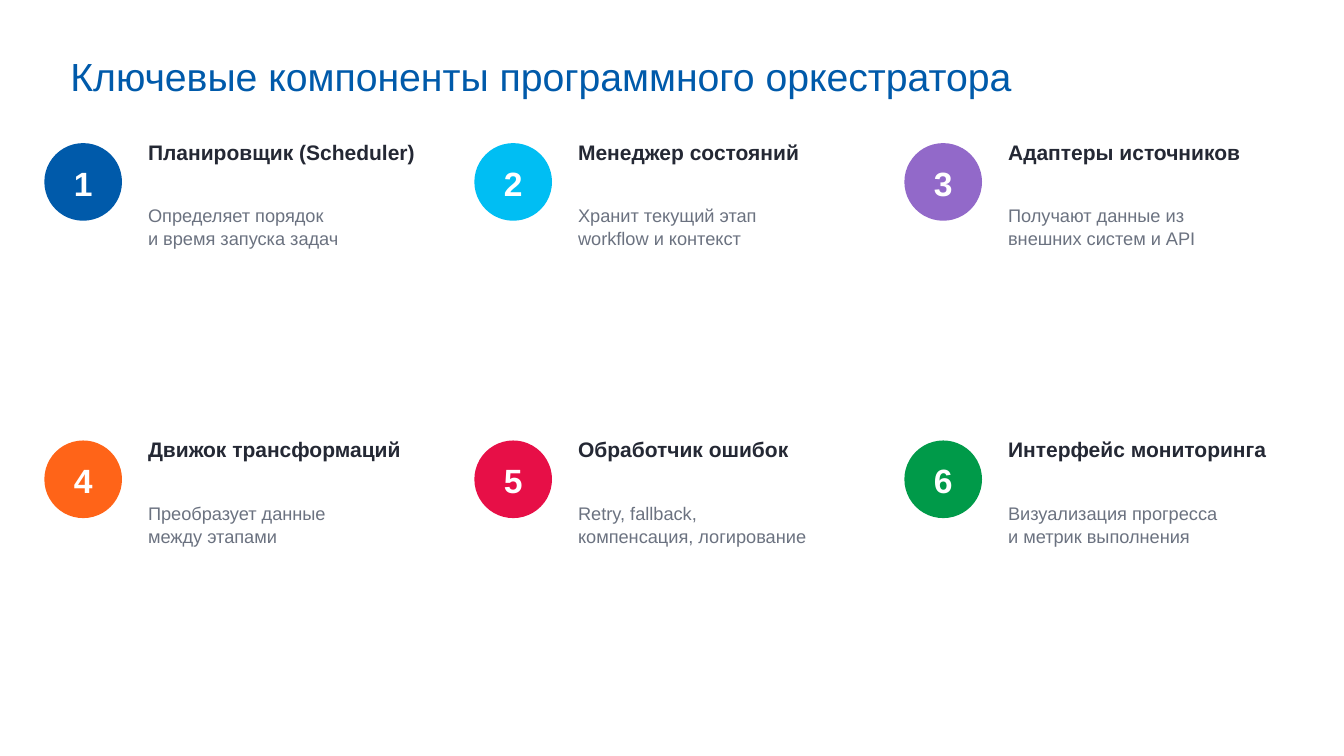
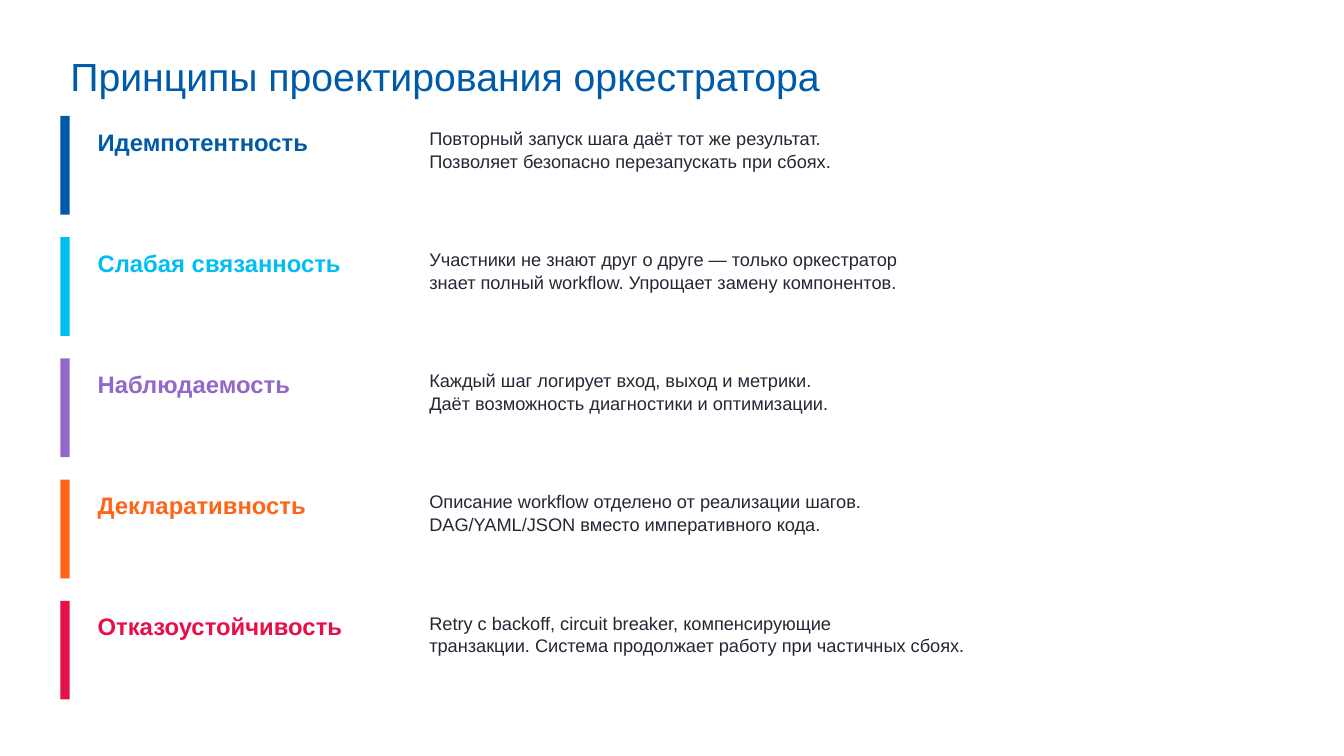
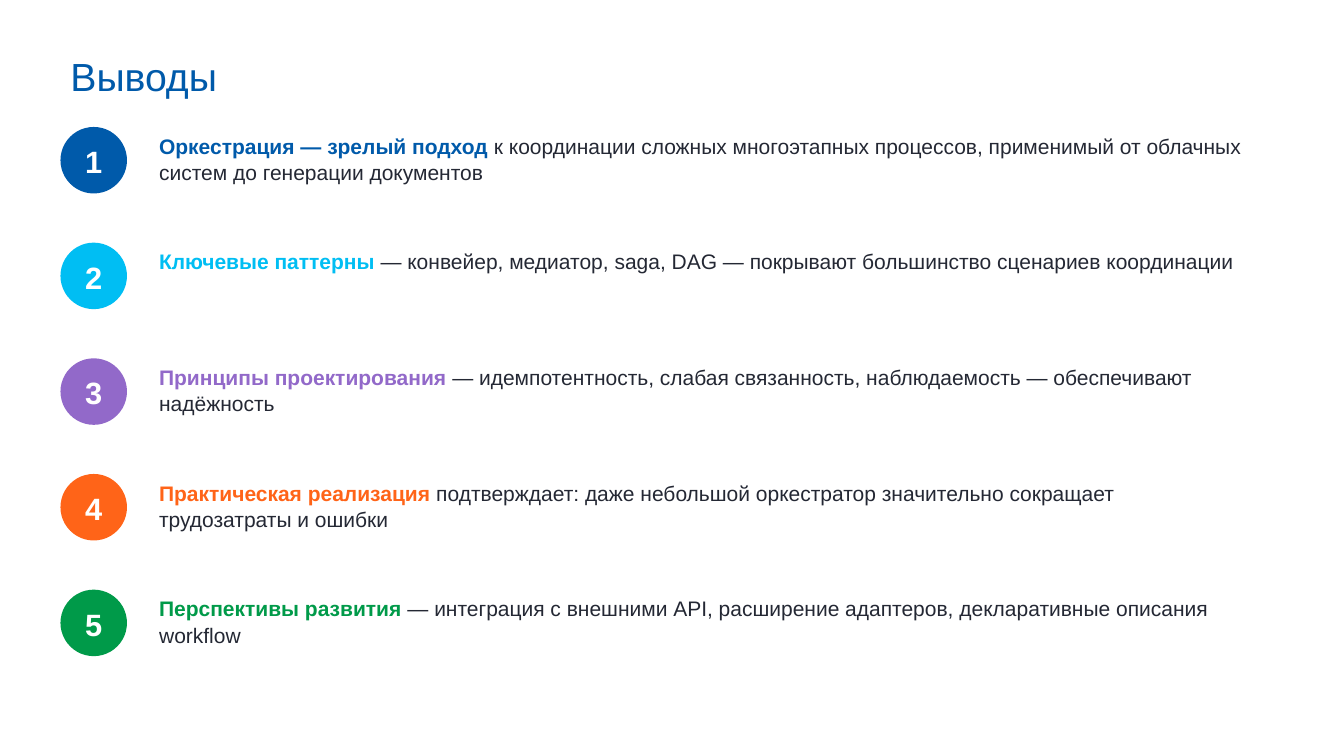
"""Build three slides on the components, principles and conclusions of an orchestrator."""

from dataclasses import dataclass

from pptx import Presentation
from pptx.dml.color import RGBColor
from pptx.enum.shapes import MSO_SHAPE
from pptx.enum.text import MSO_ANCHOR, MSO_AUTO_SIZE, PP_ALIGN
from pptx.presentation import Presentation as Deck
from pptx.shapes.autoshape import Shape
from pptx.slide import Slide
from pptx.text.text import Font
from pptx.util import Inches, Pt

BLUE = RGBColor(0x00, 0x5A, 0xAA)
CYAN = RGBColor(0x00, 0xBE, 0xF3)
PURPLE = RGBColor(0x92, 0x69, 0xC9)
ORANGE = RGBColor(0xFF, 0x64, 0x18)
RED = RGBColor(0xE7, 0x0F, 0x47)
GREEN = RGBColor(0x00, 0x9A, 0x49)
INK = RGBColor(0x24, 0x28, 0x34)
GRAY = RGBColor(0x6B, 0x72, 0x80)
WHITE = RGBColor(0xFF, 0xFF, 0xFF)

FONT_NAME = "Arial"
LINE_SPACING = 1.05
SLIDE_WIDTH, SLIDE_HEIGHT = 13.33, 7.5
MARGIN = 0.6


@dataclass(frozen=True)
class Box:
    left: float
    top: float
    width: float
    height: float


@dataclass(frozen=True)
class Style:
    size: float
    color: RGBColor
    bold: bool = False


@dataclass(frozen=True)
class Item:
    color: RGBColor
    heading: str
    body: str


TITLE_STYLE = Style(28, BLUE)
TITLE_BOX = Box(MARGIN, 0.45, 10.51, 0.44)

COMPONENTS = [
    Item(BLUE, "Планировщик (Scheduler)", "Определяет порядок\nи время запуска задач"),
    Item(CYAN, "Менеджер состояний", "Хранит текущий этап\nworkflow и контекст"),
    Item(PURPLE, "Адаптеры источников", "Получают данные из\nвнешних систем и API"),
    Item(ORANGE, "Движок трансформаций", "Преобразует данные\nмежду этапами"),
    Item(RED, "Обработчик ошибок", "Retry, fallback,\nкомпенсация, логирование"),
    Item(GREEN, "Интерфейс мониторинга", "Визуализация прогресса\nи метрик выполнения"),
]

PRINCIPLES = [
    Item(BLUE, "Идемпотентность",
         "Повторный запуск шага даёт тот же результат.\n"
         "Позволяет безопасно перезапускать при сбоях."),
    Item(CYAN, "Слабая связанность",
         "Участники не знают друг о друге — только оркестратор\n"
         "знает полный workflow. Упрощает замену компонентов."),
    Item(PURPLE, "Наблюдаемость",
         "Каждый шаг логирует вход, выход и метрики.\n"
         "Даёт возможность диагностики и оптимизации."),
    Item(ORANGE, "Декларативность",
         "Описание workflow отделено от реализации шагов.\n"
         "DAG/YAML/JSON вместо императивного кода."),
    Item(RED, "Отказоустойчивость",
         "Retry с backoff, circuit breaker, компенсирующие\n"
         "транзакции. Система продолжает работу при частичных сбоях."),
]

CONCLUSIONS = [
    Item(BLUE, "Оркестрация — зрелый подход",
         " к координации сложных многоэтапных процессов, применимый от облачных систем "
         "до генерации документов"),
    Item(CYAN, "Ключевые паттерны",
         " — конвейер, медиатор, saga, DAG — покрывают большинство сценариев координации"),
    Item(PURPLE, "Принципы проектирования",
         " — идемпотентность, слабая связанность, наблюдаемость — обеспечивают надёжность"),
    Item(ORANGE, "Практическая реализация",
         " подтверждает: даже небольшой оркестратор значительно сокращает трудозатраты и ошибки"),
    Item(GREEN, "Перспективы развития",
         " — интеграция с внешними API, расширение адаптеров, декларативные описания workflow"),
]


def spread(first: float, last: float, count: int) -> list[float]:
    """Return evenly spaced positions from first to last."""
    return [first + (last - first) * index / (count - 1) for index in range(count)]


def emu(box: Box) -> tuple[int, int, int, int]:
    """Return the left, top, width and height of a box as slide lengths."""
    return Inches(box.left), Inches(box.top), Inches(box.width), Inches(box.height)


def apply_style(font: Font, style: Style) -> None:
    """Give a font the shared typeface and the given style."""
    font.name = FONT_NAME
    font.size = Pt(style.size)
    font.bold = style.bold
    font.color.rgb = style.color


def add_text_box(slide: Slide, box: Box) -> Shape:
    """Add an empty wrapping text box that grows with its text."""
    shape = slide.shapes.add_textbox(*emu(box))
    shape.text_frame.word_wrap = True
    shape.text_frame.auto_size = MSO_AUTO_SIZE.SHAPE_TO_FIT_TEXT
    shape.text_frame.paragraphs[0].line_spacing = LINE_SPACING
    return shape


def add_text(slide: Slide, box: Box, text: str, style: Style) -> None:
    """Add a text box holding one paragraph in one style."""
    paragraph = add_text_box(slide, box).text_frame.paragraphs[0]
    paragraph.text = text
    apply_style(paragraph.font, style)


def add_rich_text(slide: Slide, box: Box, parts: list[tuple[str, Style]]) -> None:
    """Add a text box holding one paragraph of differently styled runs."""
    paragraph = add_text_box(slide, box).text_frame.paragraphs[0]
    for text, style in parts:
        run = paragraph.add_run()
        run.text = text
        apply_style(run.font, style)


def add_filled_shape(slide: Slide, kind: MSO_SHAPE, box: Box, color: RGBColor) -> Shape:
    """Add a flat shape without outline or shadow."""
    shape = slide.shapes.add_shape(kind, *emu(box))
    shape.shadow.inherit = False
    shape.fill.solid()
    shape.fill.fore_color.rgb = color
    shape.line.fill.background()
    return shape


def add_badge(slide: Slide, left: float, top: float, diameter: float,
              number: int, color: RGBColor, size: float) -> None:
    """Add a numbered circle."""
    box = Box(left, top, diameter, diameter)
    frame = add_filled_shape(slide, MSO_SHAPE.OVAL, box, color).text_frame
    frame.vertical_anchor = MSO_ANCHOR.MIDDLE
    paragraph = frame.paragraphs[0]
    paragraph.text = str(number)
    paragraph.alignment = PP_ALIGN.CENTER
    paragraph.line_spacing = LINE_SPACING
    apply_style(paragraph.font, Style(size, WHITE, True))


def add_titled_slide(presentation: Deck, title: str) -> Slide:
    """Add a blank slide with the shared title."""
    slide = presentation.slides.add_slide(presentation.slide_layouts[6])
    add_text(slide, TITLE_BOX, title, TITLE_STYLE)
    return slide


def add_components_slide(presentation: Deck) -> None:
    """Add the grid of numbered components."""
    slide = add_titled_slide(presentation, "Ключевые компоненты программного оркестратора")
    cells = [(left, top) for top in spread(1.42, 4.37, 2) for left in spread(0.44, 8.97, 3)]
    for number, (item, (left, top)) in enumerate(zip(COMPONENTS, cells), 1):
        text_left = left + 0.93
        add_badge(slide, left, top, 0.77, number, item.color, 24)
        add_text(slide, Box(text_left, top - 0.1, 2.95, 0.66), item.heading, Style(15, INK, True))
        add_text(slide, Box(text_left, top + 0.55, 2.95, 1.53), item.body, Style(13, GRAY))


def add_principles_slide(presentation: Deck) -> None:
    """Add the rows of principles marked by coloured bars."""
    slide = add_titled_slide(presentation, "Принципы проектирования оркестратора")
    for item, top in zip(PRINCIPLES, spread(1.15, 5.96, len(PRINCIPLES))):
        text_top = top + 0.05
        add_filled_shape(slide, MSO_SHAPE.RECTANGLE, Box(MARGIN, top, 0.09, 0.98), item.color)
        add_text(slide, Box(0.87, text_top, 3.06, 0.44), item.heading, Style(17, item.color, True))
        add_text(slide, Box(4.16, text_top, 8.2, 0.93), item.body, Style(13, INK))


def add_conclusions_slide(presentation: Deck) -> None:
    """Add the numbered list of conclusions."""
    slide = add_titled_slide(presentation, "Выводы")
    tops = spread(1.26, 5.85, len(CONCLUSIONS))
    for number, (item, top) in enumerate(zip(CONCLUSIONS, tops), 1):
        add_badge(slide, MARGIN, top, 0.66, number, item.color, 22)
        parts = [(item.heading, Style(15, item.color, True)), (item.body, Style(15, INK))]
        add_rich_text(slide, Box(1.48, top, 10.94, 0.98), parts)


def main() -> None:
    """Build and save the presentation."""
    presentation = Presentation()
    presentation.slide_width = Inches(SLIDE_WIDTH)
    presentation.slide_height = Inches(SLIDE_HEIGHT)
    add_components_slide(presentation)
    add_principles_slide(presentation)
    add_conclusions_slide(presentation)
    presentation.save("out.pptx")


if __name__ == "__main__":
    main()
